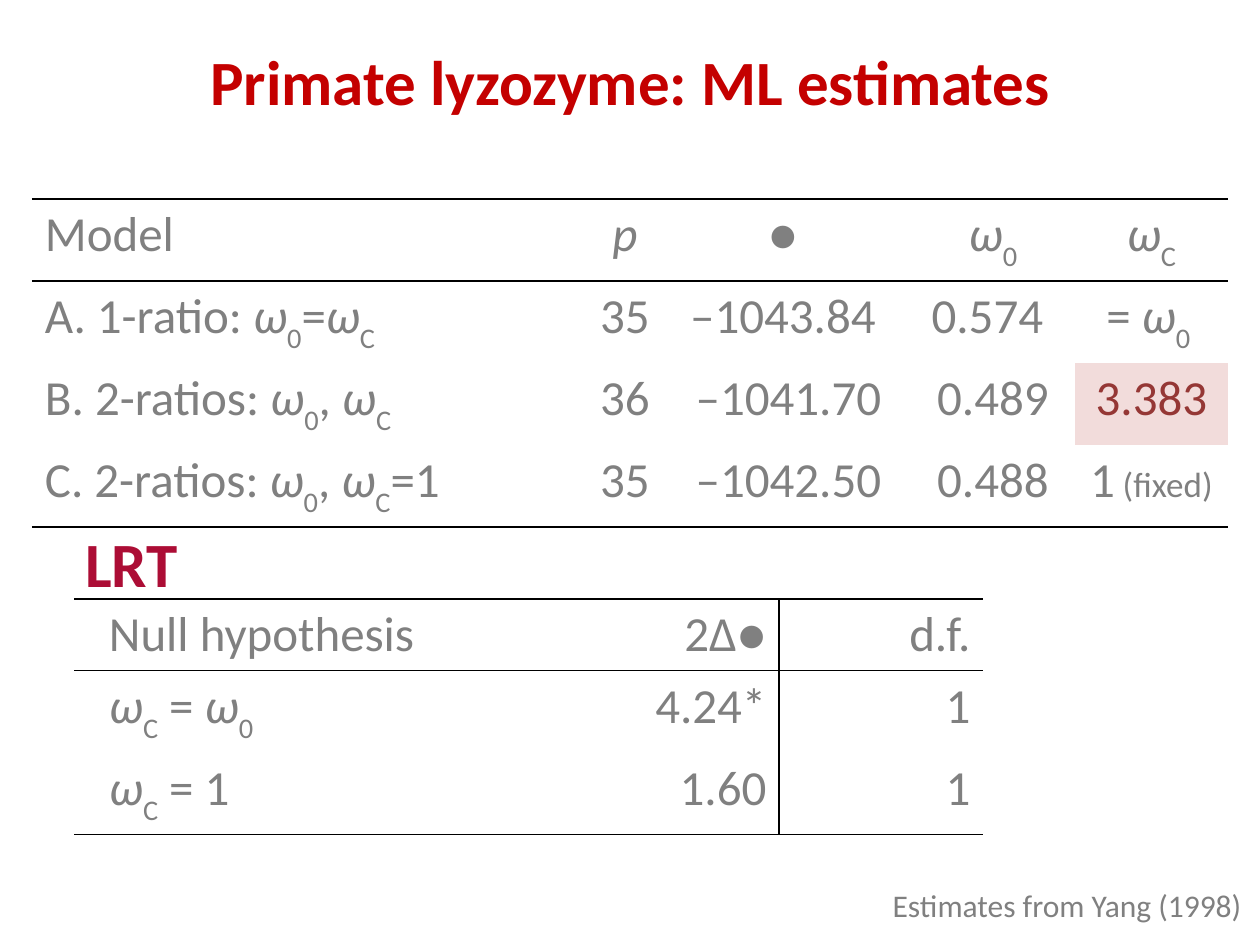
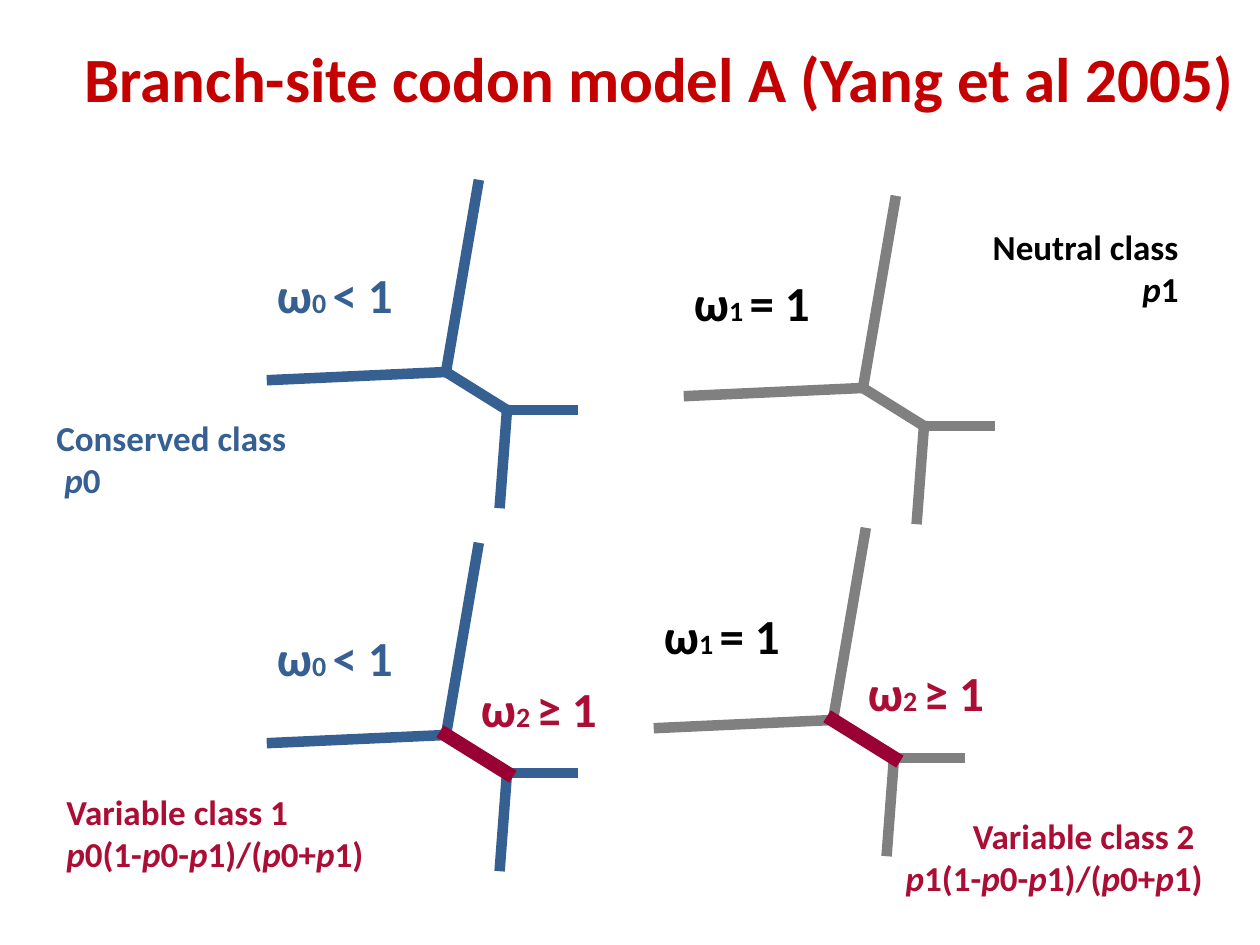
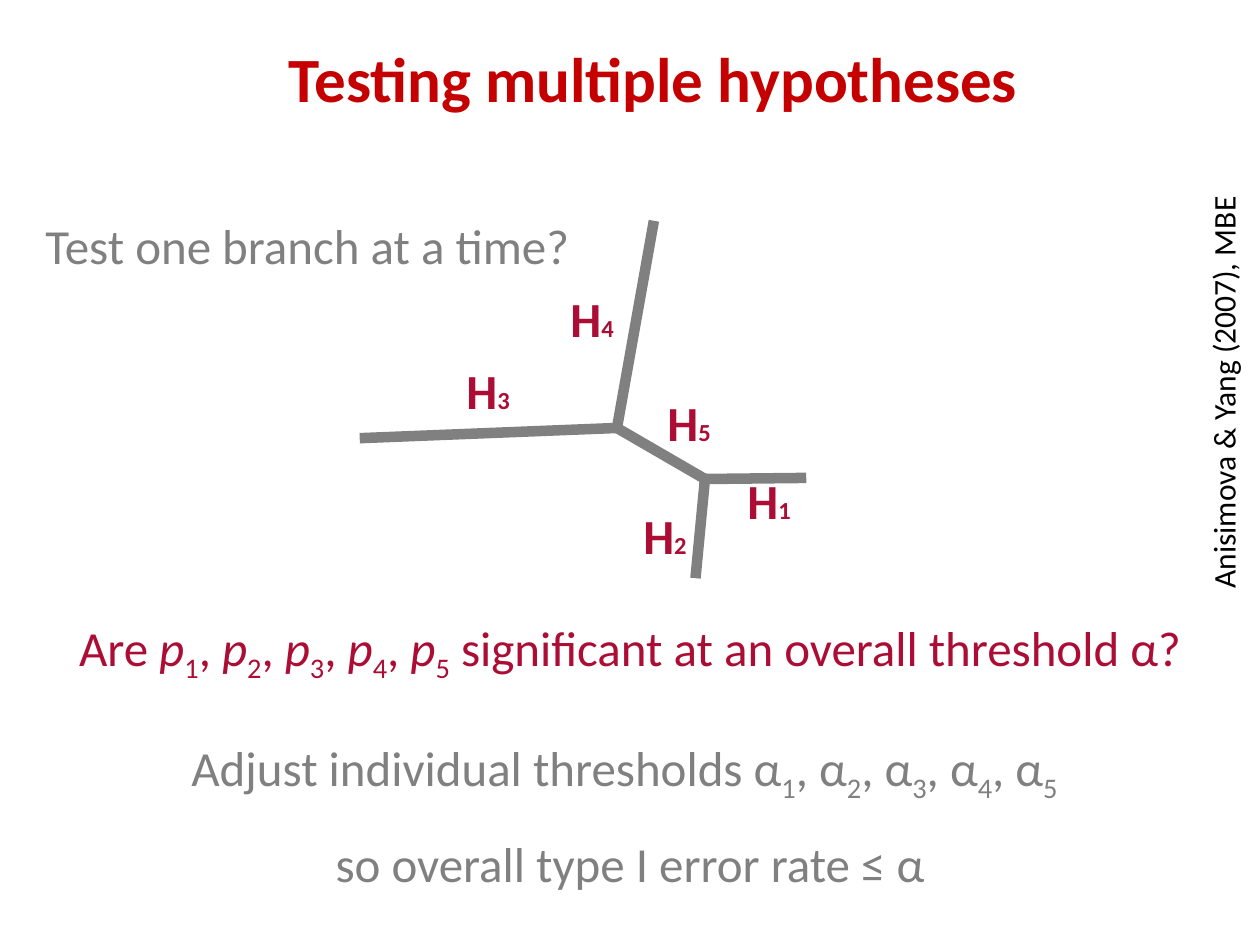
from dataclasses import dataclass

from lxml import etree
from pptx import Presentation
from pptx.dml.color import RGBColor
from pptx.enum.shapes import MSO_CONNECTOR, MSO_SHAPE
from pptx.enum.text import MSO_ANCHOR, PP_ALIGN
from pptx.oxml.ns import qn
from pptx.util import Emu, Pt

LEFT, CENTER, RIGHT = PP_ALIGN.LEFT, PP_ALIGN.CENTER, PP_ALIGN.RIGHT
TOP, MIDDLE = MSO_ANCHOR.TOP, MSO_ANCHOR.MIDDLE
STRAIGHT = MSO_CONNECTOR.STRAIGHT
RECTANGLE = MSO_SHAPE.RECTANGLE
EMU_PER_PX = 914400 / 126
PAGE_WIDTH, PAGE_HEIGHT = 1260, 945


@dataclass(frozen=True)
class Theme:
    font: str = "Calibri"
    title: str = "C40000"
    accent: str = "AC0D35"
    branch: str = "990033"
    blue: str = "376092"
    gray: str = "808080"
    black: str = "000000"
    white: str = "FFFFFF"
    highlight: str = "F2DCDB"
    highlight_text: str = "953735"
    heading_size: int = 36
    body_size: int = 28
    caption_size: int = 20
    source_size: int = 18
    index_size: int = 16
    label_index_size: int = 14
    branch_width: int = 6
    strong_width: int = 8


THEME = Theme()

ESTIMATES = [
    ["Model", "{/p}", "● ", "{/ω}{_0}", "{/ω}{_C}"],
    ["A. 1-ratio: {/ω}{_0}={/ω}{_C}", "35", "–1043.84 ", "0.574 ", "= {/ω}{_0 }"],
    ["B. 2-ratios: {/ω}{_0}, {/ω}{_C}", "36", "–1041.70", "0.489", "3.383"],
    ["C. 2-ratios: {/ω}{_0}, {/ω}{_C}=1", "35", "–1042.50", "0.488", "1{. (fixed)}"],
]
RATIO_TESTS = [
    ["Null hypothesis", "2∆●", "d.f."],
    ["{/ω}{_C} = {/ω}{_0}", "4.24*", "1"],
    ["{/ω}{_C} = 1", "1.60", "1"],
]

SITE_TREE = {"right": (127, 38), "down": (54, 131), "left": (-174, 8),
             "top": (32, -187), "fork": (61, 38)}
TEST_TREE = {"right": (184, 50), "down": (79, 145), "left": (-252, 10),
             "top": (36, -202), "fork": (88, 51)}


def px(length):
    return Emu(round(length * EMU_PER_PX))


def rgb(color):
    return RGBColor.from_string(color)


def apply_format(target, values):
    for name, value in values.items():
        setattr(target, name, value)


def write_spans(para, markup, size, color, bold=False, small=None, drop=-30):
    marks = {"": {}, "/": {"italic": True}, "_": {}, ".": {"size": Pt(small or size)}}
    first, *marked = markup.split("{")
    pieces = [("", first)]
    for piece in marked:
        styled, _, plain = piece.partition("}")
        pieces += [(styled[0], styled[1:]), ("", plain)]
    for mark, text in pieces:
        if not text:
            continue
        span = para.add_run()
        span.text = text
        apply_format(span.font, {"name": THEME.font, "size": Pt(size), "bold": bold, **marks[mark]})
        span.font.color.rgb = rgb(color)
        if mark == "_":
            span._r.get_or_add_rPr().set("baseline", str(drop * 1000))


def write_lines(frame, lines, align=LEFT, gap=0, **style):
    for index, markup in enumerate(lines):
        para = frame.paragraphs[0] if index == 0 else frame.add_paragraph()
        para.alignment = align
        if index and gap:
            para.space_before = Pt(gap)
        write_spans(para, markup, **style)


def add_text(shapes, place, *lines, anchor=TOP, inset=True, wrap=True, **style):
    box = shapes.add_textbox(*map(px, place))
    frame = box.text_frame
    apply_format(frame, {"word_wrap": wrap, "vertical_anchor": anchor})
    if not inset:
        apply_format(frame, dict.fromkeys(
            ("margin_left", "margin_top", "margin_right", "margin_bottom"), 0))
    write_lines(frame, lines, **style)
    return box


def add_title(page, text, height=154, indent=13):
    band = page.shapes.add_shape(RECTANGLE, 0, 0, px(PAGE_WIDTH), px(height))
    band.shadow.inherit = False
    band.fill.background()
    band.line.color.rgb = rgb(THEME.white)
    band.line.width = Pt(0.75)
    apply_format(band.text_frame, {"word_wrap": True, "vertical_anchor": MIDDLE,
                                   "margin_left": px(indent)})
    write_lines(band.text_frame, [text], align=CENTER,
                size=THEME.heading_size, color=THEME.title, bold=True)


def add_branch(shapes, start, end, color, width):
    branch = shapes.add_connector(STRAIGHT, *map(px, start + end))
    branch.line.color.rgb = rgb(color)
    branch.line.width = Pt(width)
    properties = branch.element.spPr
    properties.find(qn("a:ln")).set("cap", "sq")
    etree.SubElement(properties, qn("a:effectLst"))


def add_tree(shapes, hub, ends, color, strong=False):
    points = {name: (hub[0] + dx, hub[1] + dy) for name, (dx, dy) in ends.items()}
    joints = {"right": points["fork"], "down": points["fork"], "left": hub, "top": hub}
    for name, joint in joints.items():
        add_branch(shapes, points[name], joint, color, THEME.branch_width)
    add_branch(shapes, hub, points["fork"], THEME.branch if strong else color,
               THEME.strong_width if strong else THEME.branch_width)


def set_borders(cell, ruled):
    properties = cell._tc.get_or_add_tcPr()
    for side in "LRTB":
        border = etree.SubElement(properties, qn("a:ln" + side), w=str(Pt(1)))
        if side in ruled:
            fill = etree.SubElement(border, qn("a:solidFill"))
            etree.SubElement(fill, qn("a:srgbClr"), val=THEME.black)
        else:
            etree.SubElement(border, qn("a:noFill"))


def add_ruled_table(page, corner, widths, heights, rows, align, indent=13,
                    divider=None, highlight=None):
    frame = page.shapes.add_table(len(rows), len(widths), *map(
        px, (*corner, sum(widths), sum(heights))))
    table = frame.table
    apply_format(table, {"first_row": False, "horz_banding": False})
    for column, width in zip(table.columns, widths):
        column.width = px(width)
    for r, (row, height) in enumerate(zip(rows, heights)):
        table.rows[r].height = px(height)
        for c, markup in enumerate(row):
            cell = table.cell(r, c)
            ruled = {"T"} if r < 2 else set()
            if r in (0, len(rows) - 1):
                ruled.add("B")
            if divider is not None and c in (divider, divider + 1):
                ruled.add("R" if c == divider else "L")
            set_borders(cell, ruled)
            color = THEME.gray
            if (r, c) == highlight:
                color = THEME.highlight_text
                cell.fill.solid()
                cell.fill.fore_color.rgb = rgb(THEME.highlight)
            else:
                cell.fill.background()
            if c == 0:
                cell.margin_left = px(indent)
            write_lines(cell.text_frame, [markup], align=align if c else LEFT,
                        size=THEME.body_size, color=color, small=THEME.caption_size)


def add_site_class(page, hub, color, ratio, ratio_rise, ratio_color, caption_place,
                   caption, caption_color, align, varies=False):
    shapes = page.shapes.add_group_shape().shapes
    add_tree(shapes, hub, SITE_TREE, color, strong=varies)
    ratios = [(ratio, -169, -ratio_rise, ratio_color)]
    if varies:
        ratios.append(("ω{.2 }≥ 1", 35, -57, THEME.accent))
    for text, dx, dy, text_color in ratios:
        add_text(shapes, (hub[0] + dx, hub[1] + dy, 149, 70), text, inset=False,
                 size=THEME.body_size, small=THEME.index_size, color=text_color, bold=True)
    add_text(shapes, (*caption_place, 367, 110), *caption, anchor=MIDDLE, align=align,
             size=THEME.caption_size, color=caption_color, bold=True)


def build_estimates(page):
    add_ruled_table(page, (32, 199), [552, 82, 245, 164, 153], [82] * 4,
                    ESTIMATES, CENTER, highlight=(2, 4))
    add_text(page.shapes, (871, 880, 383, 50), "Estimates from Yang (1998)", align=RIGHT,
             size=THEME.source_size, color=THEME.gray)
    add_ruled_table(page, (74, 599), [553, 152, 204], [71, 82, 82],
                    RATIO_TESTS, RIGHT, indent=35, divider=1)
    add_text(page.shapes, (73, 526, 507, 72), "LRT", anchor=MIDDLE,
             size=THEME.heading_size, color=THEME.accent, bold=True)
    add_title(page, "Primate lyzozyme: ML estimates", height=161)


def build_site_model(page):
    conserved = ("ω{.0 }< 1", 108, THEME.blue)
    neutral = ("ω{.1 }= 1", 115, THEME.black)
    share = "{/p}%d(1-{/p}0-{/p}1)/({/p}0+{/p}1)"
    add_site_class(page, (446, 372), THEME.blue, *conserved, (44, 403),
                   ["Conserved class", " {/p}0"], THEME.blue, LEFT)
    add_site_class(page, (863, 388), THEME.gray, *neutral, (824, 212),
                   ["Neutral class", "{/p}1"], THEME.black, RIGHT)
    add_site_class(page, (446, 735), THEME.blue, *conserved, (54, 777),
                   ["Variable class 1", share % 0], THEME.accent, LEFT, varies=True)
    add_site_class(page, (833, 720), THEME.gray, *neutral, (848, 801),
                   ["Variable class 2 ", share % 1], THEME.accent, RIGHT, varies=True)
    add_title(page, "Branch-site codon model A (Yang et al 2005)", indent=71)


def build_hypotheses(page):
    shapes = page.shapes
    body = {"size": THEME.body_size, "color": THEME.gray}
    accent = {"size": THEME.body_size, "color": THEME.accent}
    add_tree(shapes, (617, 428), TEST_TREE, THEME.gray)
    labels = {4: (558, 282), 3: (454, 354), 1: (735, 464), 2: (631, 499), 5: (655, 386)}
    for number, corner in labels.items():
        add_text(shapes, (*corner, 79, 72), f"H{{.{number}}}", bold=True,
                 small=THEME.label_index_size, **accent)
    p_values = ", ".join(f"{{/p}}{{_{number}}}" for number in range(1, 6))
    alphas = ", ".join(f"α{{_{number}}}" for number in range(1, 6))
    add_text(shapes, (0, 611, PAGE_WIDTH, 72),
             f"Are {p_values} significant at an overall threshold α?",
             align=CENTER, drop=-25, **accent)
    add_text(shapes, (0, 731, PAGE_WIDTH, 161), f"Adjust individual thresholds {alphas} ",
             "so overall type I error rate ≤ α", align=CENTER, gap=17, drop=-25, **body)
    add_text(shapes, (33, 209, 571, 72), "Test one branch at a time?", **body)
    add_title(page, "Testing multiple hypotheses", indent=59)
    source = add_text(shapes, (1007, 360, 432, 50), "Anisimova & Yang (2007), MBE",
                      wrap=False, size=THEME.source_size, color=THEME.black)
    source.rotation = 270


def main():
    deck = Presentation()
    apply_format(deck, {"slide_width": px(PAGE_WIDTH), "slide_height": px(PAGE_HEIGHT)})
    for build in (build_estimates, build_site_model, build_hypotheses):
        build(deck.slides.add_slide(deck.slide_layouts[6]))
    deck.save("out.pptx")


if __name__ == "__main__":
    main()
